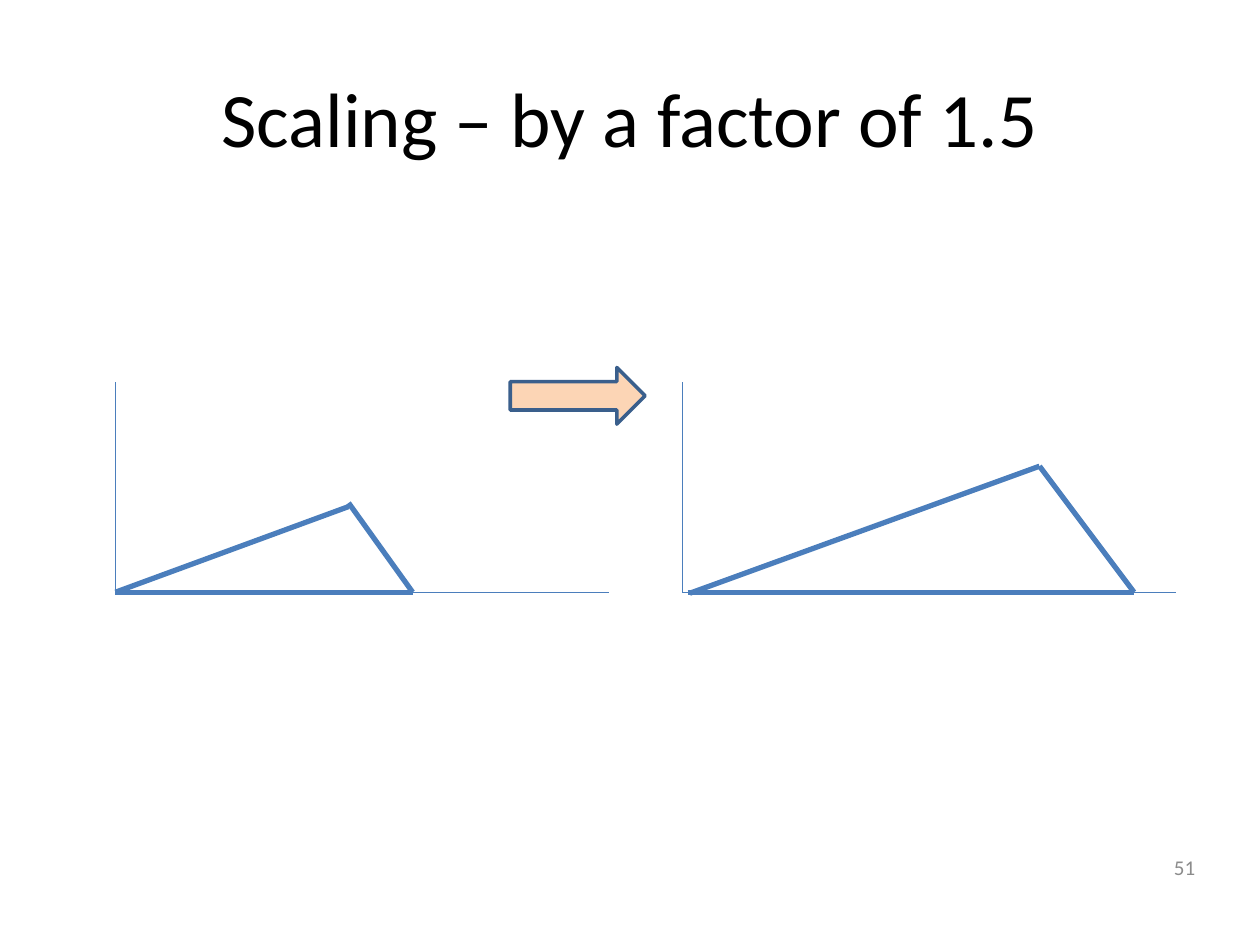
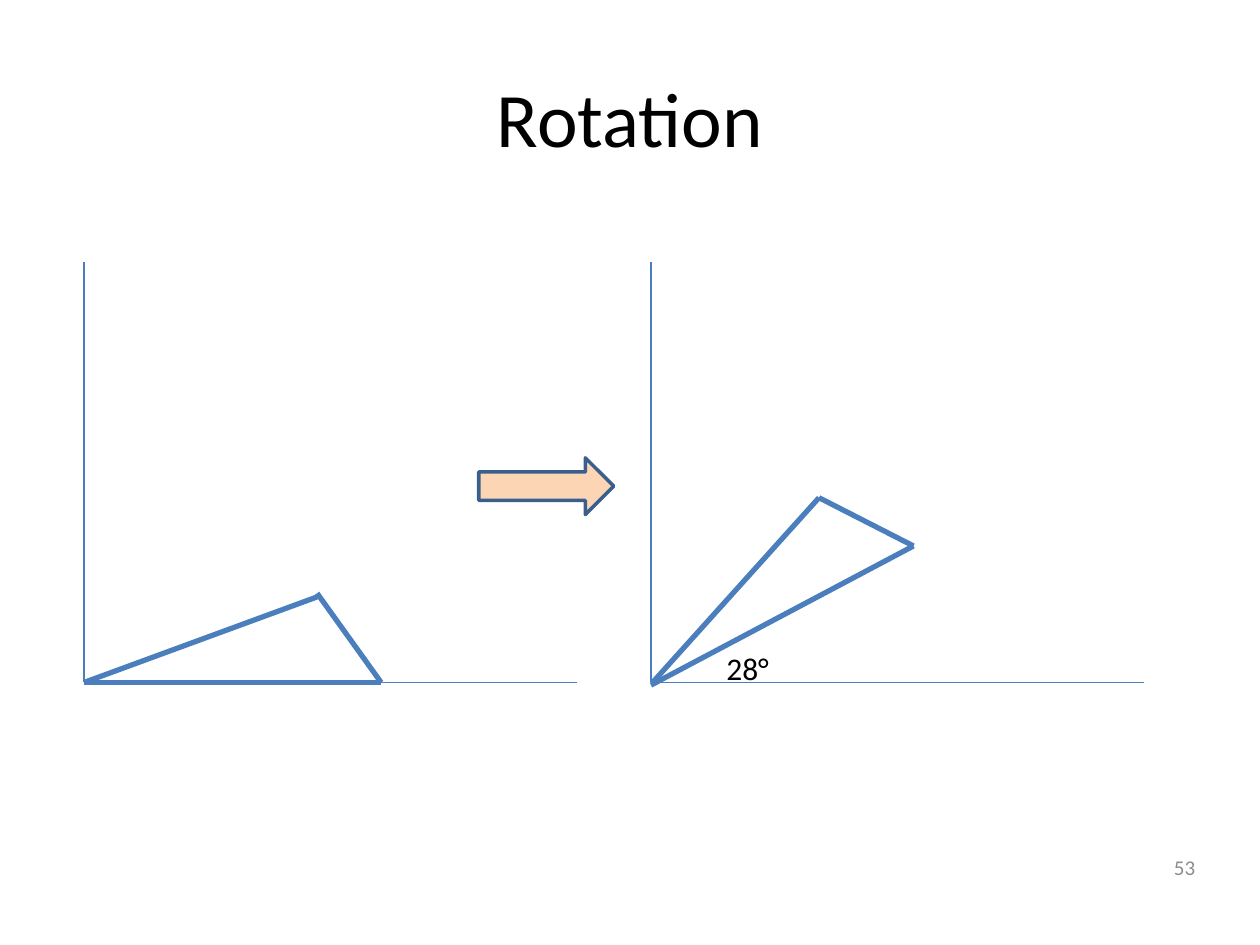
import pptx
import pptx.util
import pptx.dml.color
import pptx.enum.shapes
import pptx.enum.text
import pptx.oxml.ns
import lxml.etree
from dataclasses import dataclass

ALIGN = pptx.enum.text.PP_ALIGN
ANCHOR = pptx.enum.text.MSO_ANCHOR
COLUMNS, ROWS = 120, 90
PLOT_GAP = 54


@dataclass(frozen=True)
class Theme:
    """Colours, font, type sizes and line widths of the deck."""
    font: str = "Calibri"
    ink: str = "000000"
    muted: str = "8C8C8C"
    line: str = "4B7EBC"
    arrow_fill: str = "FCD5B5"
    arrow_line: str = "3A5F8C"
    title_pt: int = 44
    label_pt: int = 18
    number_pt: int = 12
    axis_pt: float = 0.75
    edge_pt: float = 3
    arrow_pt: float = 2


def rgb(value):
    """Turn a hex string into a colour."""
    return pptx.dml.color.RGBColor.from_string(value)


class Deck:
    """Draws styled elements on the current slide, in grid columns and rows."""

    def __init__(self, theme):
        """Start an empty 10 by 7.5 inch deck."""
        self.theme = theme
        self.prs = pptx.Presentation()
        self.prs.slide_width = pptx.util.Inches(10)
        self.prs.slide_height = pptx.util.Inches(7.5)
        self.s = None

    def x(self, column):
        """Convert columns to a length."""
        return round(self.prs.slide_width * column / COLUMNS)

    def y(self, row):
        """Convert rows to a length."""
        return round(self.prs.slide_height * row / ROWS)

    def box(self, left, top, width, height):
        """Convert a grid box to lengths."""
        return self.x(left), self.y(top), self.x(width), self.y(height)

    def slide(self, title, number):
        """Add a slide with its title and number."""
        t = self.theme
        self.s = self.prs.slides.add_slide(self.prs.slide_layouts[6])
        self.text(title, (6, 3.6, 108, 15), t.title_pt, t.ink, ALIGN.CENTER, ANCHOR.MIDDLE)
        self.text(str(number), (87, 80.2, 28, 4.8), t.number_pt, t.muted, ALIGN.RIGHT, ANCHOR.MIDDLE)

    def text(self, words, box, size, colour, align=ALIGN.LEFT, anchor=ANCHOR.TOP, wrap=True):
        """Add one paragraph of text."""
        tf = self.s.shapes.add_textbox(*self.box(*box)).text_frame
        tf.word_wrap = wrap
        tf.vertical_anchor = anchor
        p = tf.paragraphs[0]
        p.text = words
        p.alignment = align
        p.font.name = self.theme.font
        p.font.size = pptx.util.Pt(size)
        p.font.color.rgb = rgb(colour)

    def line(self, origin, start, end, width):
        """Add a straight line between two offsets from an origin."""
        (ox, oy), (x1, y1), (x2, y2) = origin, start, end
        c = self.s.shapes.add_connector(
            pptx.enum.shapes.MSO_CONNECTOR.STRAIGHT,
            self.x(ox + x1), self.y(oy + y1), self.x(ox + x2), self.y(oy + y2))
        c.line.color.rgb = rgb(self.theme.line)
        c.line.width = pptx.util.Pt(width)
        lxml.etree.SubElement(c._element.spPr, pptx.oxml.ns.qn("a:effectLst"))

    def plot(self, origin, height, edges):
        """Add a pair of axes and the edges of a triangle."""
        for end in ((0, -height), (47, 0)):
            self.line(origin, (0, 0), end, self.theme.axis_pt)
        for start, end in edges:
            self.line(origin, start, end, self.theme.edge_pt)

    def arrow(self, left, top):
        """Add a block arrow pointing right."""
        sp = self.s.shapes.add_shape(
            pptx.enum.shapes.MSO_SHAPE.RIGHT_ARROW, *self.box(left, top, 12.85, 5.4))
        sp.shadow.inherit = False
        sp.fill.solid()
        sp.fill.fore_color.rgb = rgb(self.theme.arrow_fill)
        sp.line.color.rgb = rgb(self.theme.arrow_line)
        sp.line.width = pptx.util.Pt(self.theme.arrow_pt)

    def transformation(self, origin, height, before, after):
        """Add the plots before and after a change, with an arrow between."""
        ox, oy = origin
        self.plot(origin, height, before)
        self.plot((ox + PLOT_GAP, oy), height, after)
        self.arrow(ox + 37.6, oy - 21.4)

    def label(self, words, left, top):
        """Add a short label that does not wrap."""
        self.text(words, (left, top, 6.5, 4.8), self.theme.label_pt, self.theme.ink, wrap=False)


TRIANGLE = [((22.2, -8.5), (28.3, 0)), ((0, 0), (28.3, 0)), ((0, 0), (22.2, -8.15))]
SCALED = [((0.5, 0), (43, 0)), ((0.7, 0.1), (34, -12)), ((43, 0), (34, -12))]
ROTATED = [((0, 0.25), (25, -13)), ((0.15, 0), (16, -17.6)), ((16, -17.6), (25, -13))]


def main():
    """Build both slides and save the deck."""
    deck = Deck(Theme())
    deck.slide("Scaling – by a factor of 1.5", 51)
    deck.transformation((11, 56.4), 20, TRIANGLE, SCALED)

    deck.slide("Rotation", 53)
    deck.transformation((8, 65), 40, TRIANGLE, ROTATED)
    deck.label("28°", 68, 61.2)
    deck.prs.save("out.pptx")


if __name__ == "__main__":
    main()
